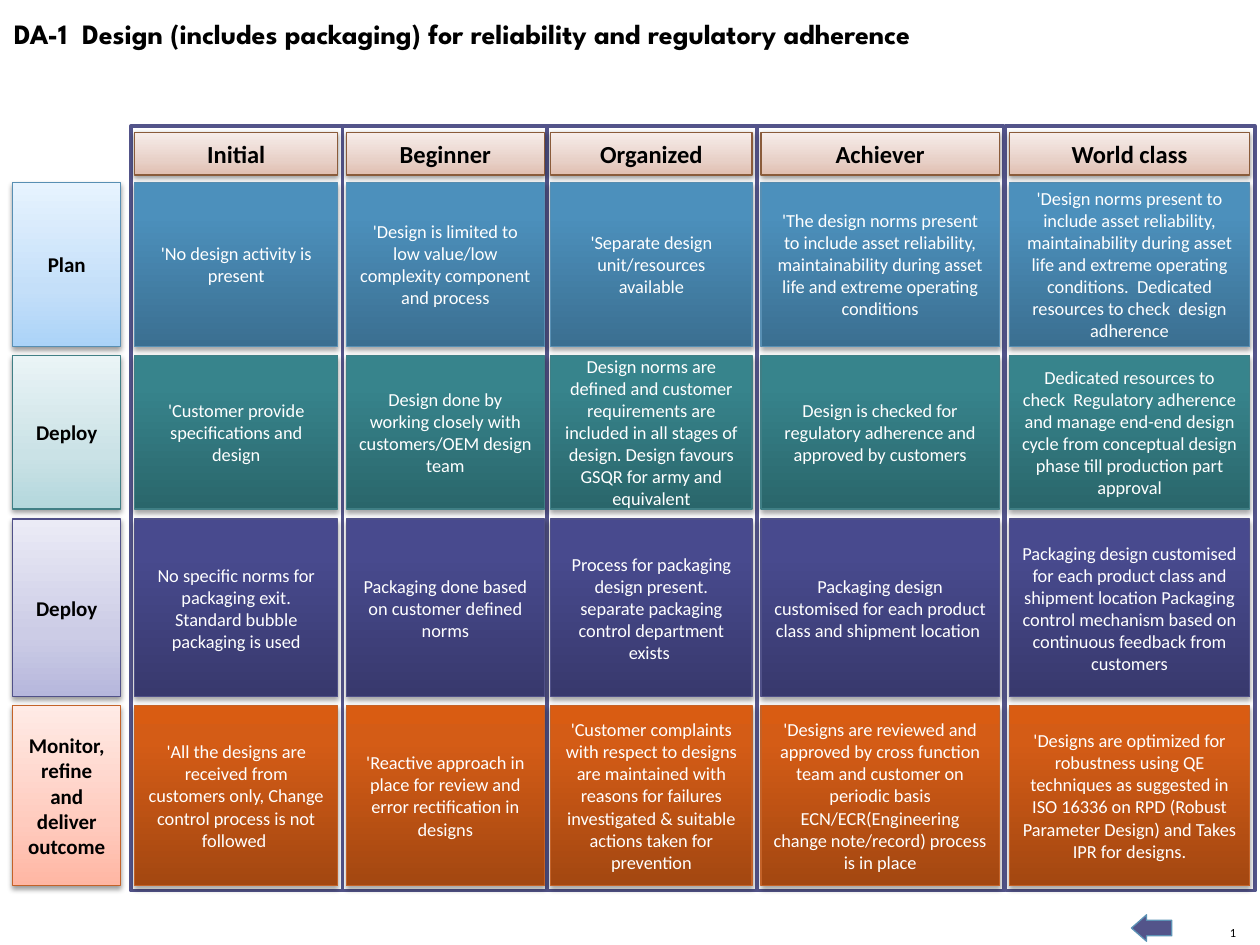
from pptx import Presentation
from pptx.dml.color import RGBColor
from pptx.enum.shapes import MSO_SHAPE
from pptx.enum.text import MSO_ANCHOR, MSO_AUTO_SIZE, PP_ALIGN
from pptx.oxml import parse_xml
from pptx.oxml.ns import nsdecls, qn
from pptx.util import Inches, Pt

# Maturity levels: name, left and width of the cells in that column
LEVELS = [("Initial", 1.07, 1.61), ("Beginner", 2.75, 1.57), ("Organized", 4.37, 1.6),
          ("Achiever", 6.04, 1.89), ("World class", 8.01, 1.91)]
HEADER_COLORS = ["E0BEB0", "E8D1C8", "F7EDEA"]

# Rows: label, top, height, line, label gradient, cell gradient, cell texts
ROWS = [
    ("Plan", 1.45, 1.3, "588FB3",
     ["ABD3F8", "C4DFF9", "E7F3FE"], ["3B6F91", "4C90BC", "4A91BF"],
     ["'No design activity is present",
      "'Design is limited to low value/low complexity component and process",
      "'Separate design unit/resources available",
      "'The design norms present to include asset reliability, maintainability "
      "during asset life and extreme operating conditions",
      "'Design norms present to include asset reliability, maintainability during asset life "
      "and extreme operating conditions.  Dedicated resources to check  design adherence"]),
    ("Deploy", 2.82, 1.22, "407F85",
     ["B3D7DC", "CAE2E6", "EAF4F6"], ["2A666B", "37848C", "36868E"],
     ["'Customer provide specifications and design",
      "Design done by working closely with customers/OEM design team",
      "Design norms are defined and customer requirements are included in all stages "
      "of design. Design favours GSQR for army and equivalent",
      "Design is checked for regulatory adherence and approved by customers",
      "Dedicated resources to check  Regulatory adherence and manage end-end design cycle "
      "from conceptual design phase till production part approval"]),
    ("Deploy", 4.12, 1.41, "505188",
     ["B6B7DC", "CCCCE6", "EBEBF6"], ["38396D", "484A8E", "474990"],
     ["No specific norms for packaging exit. Standard bubble packaging is used",
      "Packaging done based on customer defined norms",
      "Process for packaging design present. separate packaging control department exists ",
      "Packaging design customised for each product class and shipment location ",
      "Packaging design customised for each product class and shipment location "
      "Packaging control mechanism based on continuous feedback from customers"]),
    ("Monitor, refine and deliver outcome", 5.6, 1.43, "C36228",
     ["FFB6A3", "FFCBBE", "FFEBE6"], ["A34711", "D45C16", "D95C12"],
     ["'All the designs are received from customers only, "
      "Change control process is not followed ",
      "'Reactive approach in place for review and error rectification in designs",
      "'Customer complaints with respect to designs are maintained with reasons "
      "for failures investigated & suitable actions taken for prevention",
      "'Designs are reviewed and approved by cross function team and customer on periodic basis\n"
      "ECN/ECR(Engineering change note/record) process is in place",
      "'Designs are optimized for robustness using QE techniques as suggested in "
      "ISO 16336 on RPD (Robust Parameter Design) and Takes IPR for designs."]),
]


def rgb(value):
    return RGBColor.from_string(value)


def write(tf, text, size=10.5, color="000000", bold=False, font="Calibri",
          align=PP_ALIGN.CENTER, anchor=MSO_ANCHOR.MIDDLE, wrap=True):
    """Fill a text frame, one paragraph for each line of text."""
    tf.word_wrap = wrap
    tf.auto_size = MSO_AUTO_SIZE.NONE
    tf.vertical_anchor = anchor
    for i, line in enumerate(text.split("\n")):
        p = tf.add_paragraph() if i else tf.paragraphs[0]
        p.alignment = align
        r = p.add_run()
        r.text = line
        r.font.name, r.font.size, r.font.bold = font, Pt(size), bold
        r.font.color.rgb = rgb(color)


def set_gradient(sp, colors, middle):
    """Three colours running from the bottom edge to the top edge."""
    sp.fill.gradient()
    stops = "".join(f'<a:gs pos="{pos * 1000}"><a:srgbClr val="{c}"/></a:gs>'
                    for pos, c in zip((0, middle, 100), colors))
    spPr = sp._element.spPr
    spPr.replace(spPr.find(qn("a:gradFill")), parse_xml(
        f'<a:gradFill {nsdecls("a")} rotWithShape="1"><a:gsLst>{stops}</a:gsLst>'
        '<a:lin ang="16200000" scaled="0"/></a:gradFill>'))


def set_shadow(sp, alpha, distance):
    sp._element.spPr.find(qn("a:effectLst")).append(parse_xml(
        f'<a:outerShdw {nsdecls("a")} blurRad="{Pt(3.1)}" dist="{Pt(distance)}" dir="5400000" '
        f'rotWithShape="0"><a:srgbClr val="000000"><a:alpha val="{alpha * 1000}"/>'
        '</a:srgbClr></a:outerShdw>'))


class Deck:
    """Holds the presentation style and the current slide."""
    accent = "53548A"
    title_font = "League Spartan"

    def __init__(self):
        self.prs = Presentation()
        self.prs.slide_width, self.prs.slide_height = Inches(10), Inches(7.5)
        self.s = self.prs.slides.add_slide(self.prs.slide_layouts[5])

    def title(self, text, x, y, w, h):
        sp = self.s.shapes.title
        sp.left, sp.top, sp.width, sp.height = map(Inches, (x, y, w, h))
        write(sp.text_frame, text, size=16, bold=True, font=self.title_font,
              align=PP_ALIGN.LEFT, anchor=MSO_ANCHOR.TOP)

    def shape(self, x, y, w, h, line, width=0.75, fill="FFFFFF", kind=MSO_SHAPE.RECTANGLE):
        sp = self.s.shapes.add_shape(kind, *map(Inches, (x, y, w, h)))
        sp.fill.solid()
        sp.fill.fore_color.rgb = rgb(fill)
        sp.line.color.rgb, sp.line.width = rgb(line), Pt(width)
        sp.shadow.inherit = False
        return sp

    def light_box(self, text, x, y, w, h, line, colors, size):
        sp = self.shape(x, y, w, h, line)
        set_gradient(sp, colors, middle=35)
        set_shadow(sp, alpha=38, distance=1.6)
        write(sp.text_frame, text, size=size, bold=True)

    def dark_box(self, text, x, y, w, h, line, colors):
        sp = self.shape(x, y, w, h, line)
        set_gradient(sp, colors, middle=80)
        set_shadow(sp, alpha=35, distance=1.8)
        write(sp.text_frame, text, color="FFFFFF")

    def back_arrow(self, x, y, w, h):
        sp = self.shape(x, y, w, h, "5C92B5", fill=self.accent, kind=MSO_SHAPE.RIGHT_ARROW)
        sp.adjustments[0], sp.adjustments[1] = 0.59, 0.57
        sp.rotation = 180

    def page_number(self, text, x, y, w, h):
        tf = self.s.shapes.add_textbox(*map(Inches, (x, y, w, h))).text_frame
        tf.margin_left = tf.margin_right = tf.margin_top = tf.margin_bottom = 0
        write(tf, text, size=7.1, align=PP_ALIGN.RIGHT, anchor=MSO_ANCHOR.BOTTOM, wrap=False)


def main():
    deck = Deck()

    # Footer and title
    deck.page_number("1", 9.69, 7.34, 0.12, 0.12)
    deck.back_arrow(8.98, 7.26, 0.32, 0.21)
    deck.title("DA-1  Design (includes packaging) for reliability and regulatory adherence",
               0.01, 0.08, 7.53, 0.64)

    # Row labels
    for label, y, h, line, light, dark, texts in ROWS:
        deck.light_box(label, 0.1, y, 0.86, h, line, light, size=12)

    # Column frames
    for name, x, w in LEVELS:
        deck.shape(x - 0.03, 1, w + 0.07, 6.07, deck.accent, width=2)

    # Matrix cells
    for label, y, h, line, light, dark, texts in ROWS:
        for text, (name, x, w) in zip(texts, LEVELS):
            deck.dark_box(text, x, y, w, h, line, dark)

    # Column headers
    for name, x, w in LEVELS:
        deck.light_box(name, x, 1.05, w, 0.34, "8A5B3A", HEADER_COLORS, size=14)

    deck.prs.save("out.pptx")


if __name__ == "__main__":
    main()
